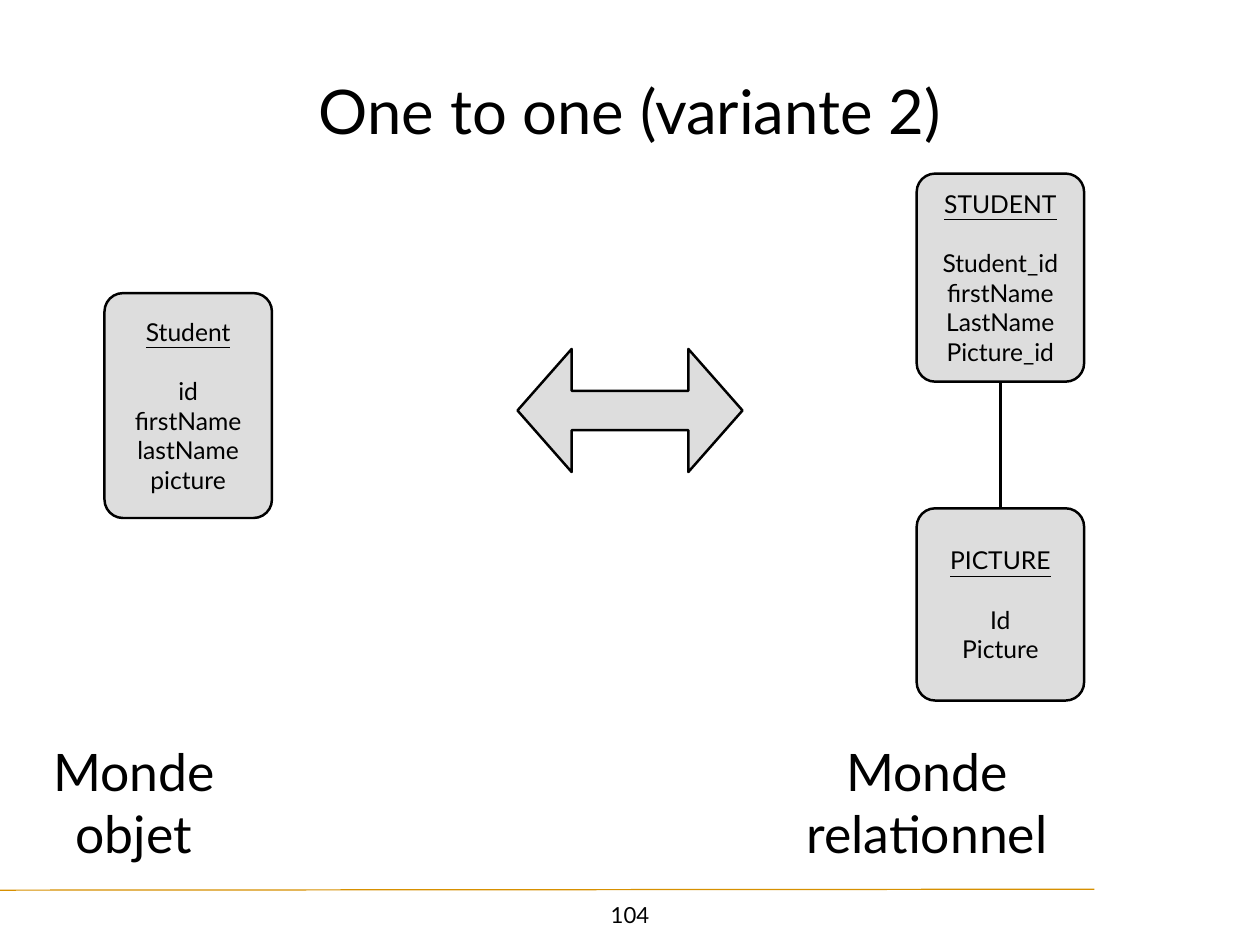
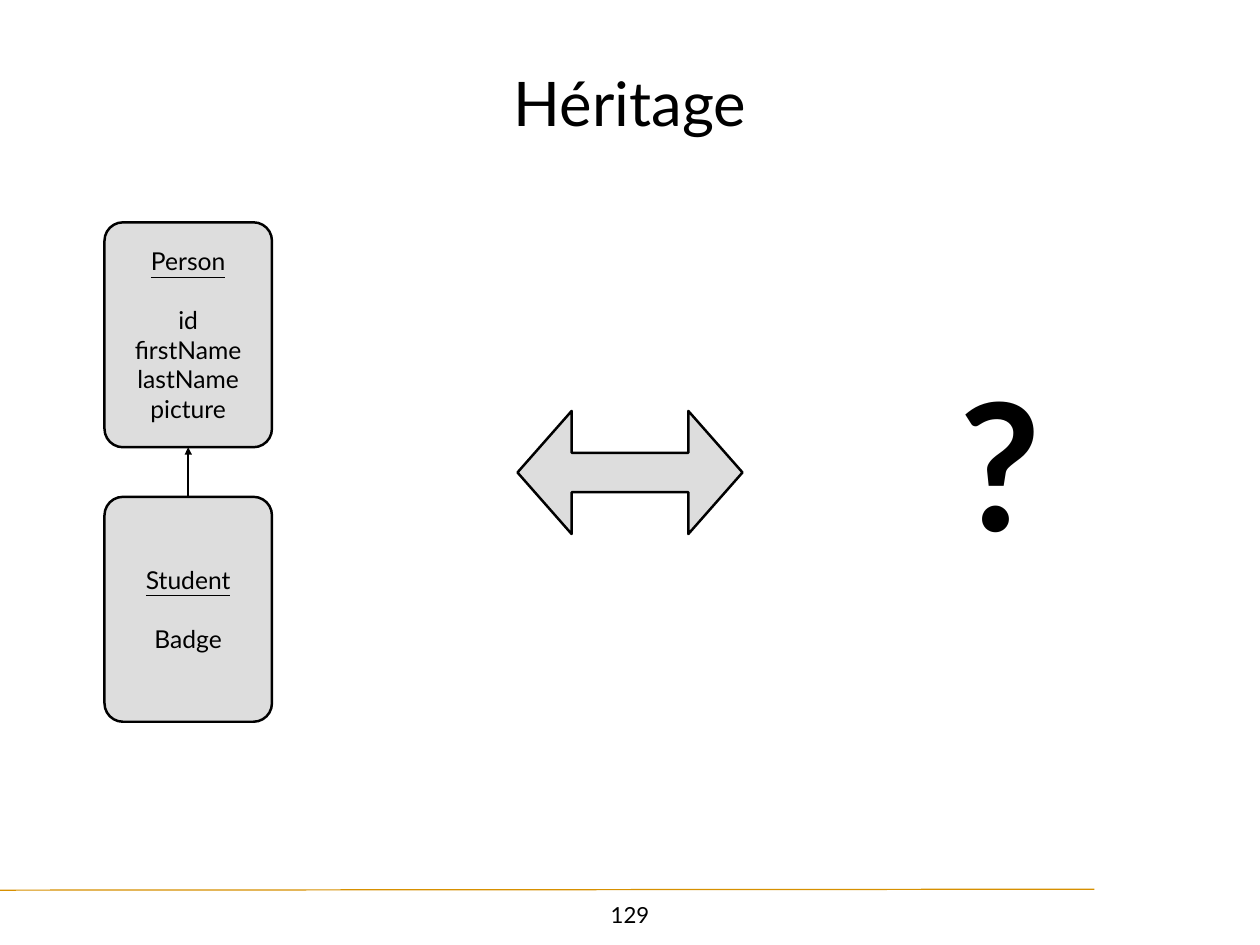
import dataclasses

import lxml.etree
import pptx
import pptx.dml.color
import pptx.enum.shapes
import pptx.enum.text
import pptx.oxml.ns
import pptx.util

SHAPES = pptx.enum.shapes.MSO_SHAPE
TOP_SITE, BOTTOM_SITE = 0, 2


@dataclasses.dataclass(frozen=True)
class Theme:
    """Colours, font, type sizes and line widths in points."""
    font: str = "Lato"
    ink: str = "000000"
    panel: str = "DDDDDD"
    accent: str = "D79000"
    title: int = 50
    caption: int = 42
    body: int = 20
    number: int = 18
    symbol: int = 144
    outline: int = 2
    rule: int = 1
    inset: float = 0.06


class Diagram:
    """Draws on the current slide; places are percentages of its size."""

    def __init__(self, deck, theme):
        """Keep the deck and its style."""
        self.deck = deck
        self.theme = theme
        self.page = None

    def across(self, share):
        """Turn a percentage of the slide width into a length."""
        return round(self.deck.slide_width * share / 100)

    def down(self, share):
        """Turn a percentage of the slide height into a length."""
        return round(self.deck.slide_height * share / 100)

    def frame(self, middle, size):
        """Return left, top, width and height around a middle point."""
        return (self.across(middle[0] - size[0] / 2), self.down(middle[1] - size[1] / 2),
                self.across(size[0]), self.down(size[1]))

    def colour(self, value):
        """Turn a hex string into a colour."""
        return pptx.dml.color.RGBColor.from_string(value)

    def new_page(self, title, title_middle, number):
        """Start a slide with its title, footer rule and number."""
        self.page = self.deck.slides.add_slide(self.deck.slide_layouts[6])
        self.line((0, 94.2), (86.85, 94.1), self.theme.accent, self.theme.rule)
        self.label(number, (50, 96.75), (6, 4), self.theme.number)
        self.label(title, (50, title_middle), (80, 14), self.theme.title)

    def set_text(self, shape, text, size, bold=False):
        """Put centred text in a shape and format its runs."""
        frame = shape.text_frame
        frame.text = text
        frame.word_wrap = True
        frame.vertical_anchor = pptx.enum.text.MSO_ANCHOR.MIDDLE
        inset = pptx.util.Inches(self.theme.inset)
        frame.margin_left = frame.margin_right = inset
        frame.margin_top = frame.margin_bottom = inset
        for para in frame.paragraphs:
            para.alignment = pptx.enum.text.PP_ALIGN.CENTER
            for span in para.runs:
                span.font.name = self.theme.font
                span.font.size = pptx.util.Pt(size)
                span.font.bold = bold
                span.font.color.rgb = self.colour(self.theme.ink)

    def label(self, text, middle, size, points, bold=False):
        """Add a free-standing text."""
        box = self.page.shapes.add_textbox(*self.frame(middle, size))
        self.set_text(box, text, points, bold)

    def panel(self, kind, middle, size, adjustments):
        """Add a grey outlined preset shape."""
        shape = self.page.shapes.add_shape(kind, *self.frame(middle, size))
        for index, value in enumerate(adjustments):
            shape.adjustments[index] = value
        shape.shadow.inherit = False
        shape.fill.solid()
        shape.fill.fore_color.rgb = self.colour(self.theme.panel)
        shape.line.color.rgb = self.colour(self.theme.ink)
        shape.line.width = pptx.util.Pt(self.theme.outline)
        return shape

    def entity(self, name, fields, middle, height=23.8):
        """Add a class or table card with an underlined name."""
        card = self.panel(SHAPES.ROUNDED_RECTANGLE, middle, (13.29, height), [0.11])
        self.set_text(card, "\n".join([name, *fields]), self.theme.body)
        heading = card.text_frame.paragraphs[0]
        heading.runs[0].font.underline = True
        heading.space_after = pptx.util.Pt(self.theme.body * 1.2)
        return card

    def mapping_arrow(self, middle_down):
        """Add the two-way arrow between both worlds."""
        self.panel(SHAPES.LEFT_RIGHT_ARROW, (50, middle_down), (17.86, 13.03), [0.32, 0.44])

    def line(self, start, end, colour, width):
        """Add a straight line without shadow."""
        connector = self.page.shapes.add_connector(
            pptx.enum.shapes.MSO_CONNECTOR.STRAIGHT,
            self.across(start[0]), self.down(start[1]),
            self.across(end[0]), self.down(end[1]))
        connector.line.color.rgb = self.colour(colour)
        connector.line.width = pptx.util.Pt(width)
        lxml.etree.SubElement(connector.element.spPr, pptx.oxml.ns.qn("a:effectLst"))
        return connector

    def link(self, lower, upper, arrow=False):
        """Join the top of one card to the bottom of the card above."""
        connector = self.line((0, 0), (0, 0), self.theme.ink, self.theme.outline)
        connector.begin_connect(lower, TOP_SITE)
        connector.end_connect(upper, BOTTOM_SITE)
        if arrow:
            outline = connector.element.spPr.find(pptx.oxml.ns.qn("a:ln"))
            lxml.etree.SubElement(outline, pptx.oxml.ns.qn("a:tailEnd"), type="triangle")


OBJECT_SIDE, TABLE_SIDE = 14.94, 79.4
OBJECT_FIELDS = ["id", "firstName", "lastName", "picture"]


def draw_one_to_one(diagram):
    """Draw the one-to-one mapping with a foreign key."""
    diagram.new_page("One to one (variante 2)", 11.62, "104")
    diagram.entity("Student", OBJECT_FIELDS, (OBJECT_SIDE, 42.92))
    diagram.mapping_arrow(43.44)
    student = diagram.entity("STUDENT", ["Student_id", "firstName", "LastName", "Picture_id"],
                             (TABLE_SIDE, 29.38), 22.02)
    picture = diagram.entity("PICTURE", ["Id", "Picture"], (TABLE_SIDE, 63.96), 20.34)
    diagram.link(picture, student)
    for text, middle, width in (("Monde objet", 10.62, 15), ("Monde relationnel", 73.56, 21)):
        diagram.label(text, (middle, 84.9), (width, 14), diagram.theme.caption)


def draw_inheritance(diagram):
    """Draw the inheritance question."""
    diagram.new_page("Héritage", 10.78, "129")
    student = diagram.entity("Student", ["Badge"], (OBJECT_SIDE, 64.48))
    diagram.mapping_arrow(50)
    person = diagram.entity("Person", OBJECT_FIELDS, (OBJECT_SIDE, 35.43))
    diagram.link(student, person, arrow=True)
    diagram.label("?", (TABLE_SIDE, 48.78), (12, 22.78), diagram.theme.symbol, bold=True)


def main():
    """Build and save the deck."""
    deck = pptx.Presentation()
    deck.slide_width = pptx.util.Inches(14.22)
    deck.slide_height = pptx.util.Inches(10.67)
    diagram = Diagram(deck, Theme())
    draw_one_to_one(diagram)
    draw_inheritance(diagram)
    deck.save("out.pptx")


main()
